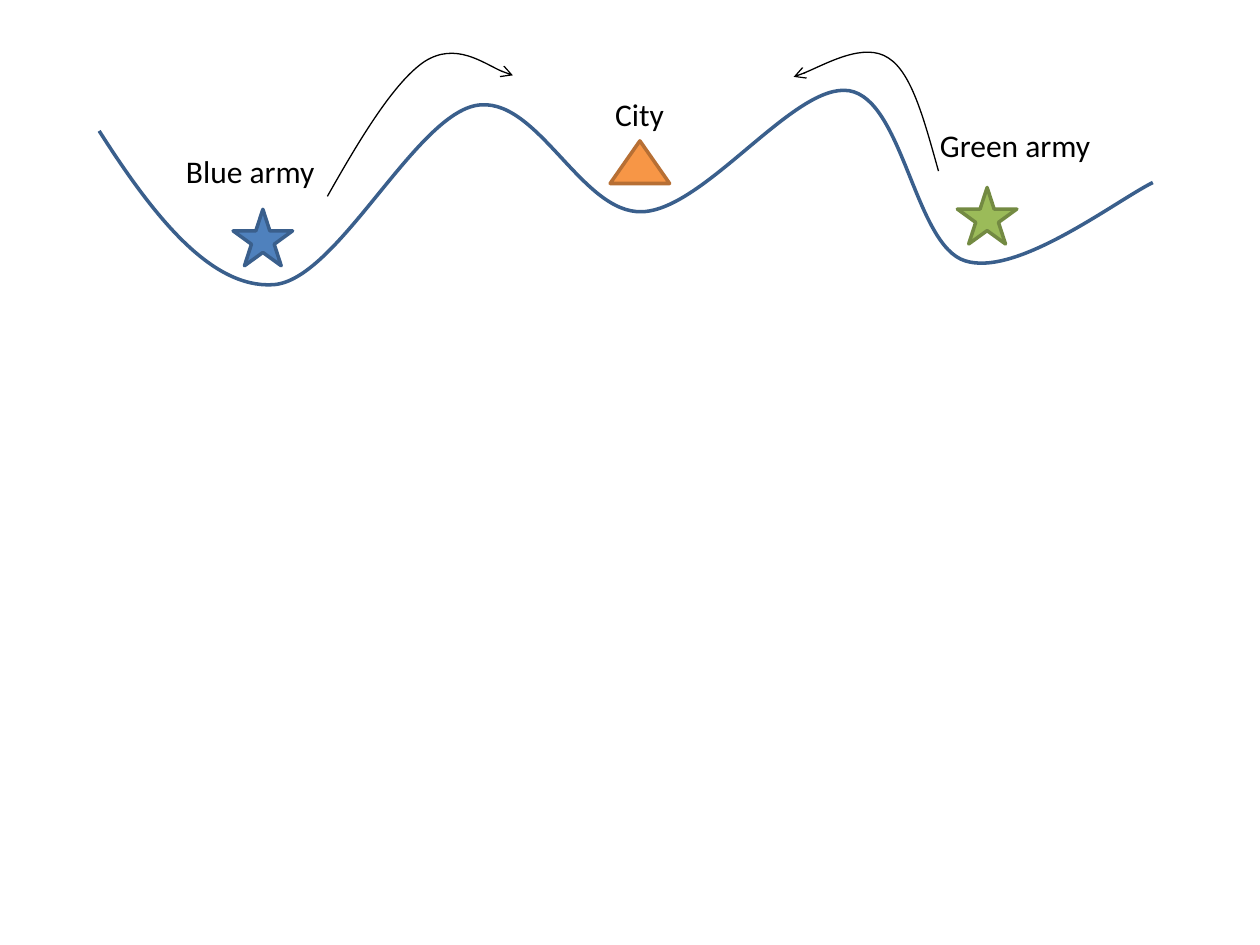
"""Draw two armies in the valleys on either side of a city."""
from dataclasses import dataclass

from lxml.etree import SubElement
from pptx import Presentation
from pptx.dml.color import RGBColor
from pptx.enum.shapes import MSO_AUTO_SHAPE_TYPE as Preset
from pptx.enum.text import MSO_AUTO_SIZE as AutoSize
from pptx.oxml.ns import qn
from pptx.slide import Slide
from pptx.util import Cm, Pt

COLORS = {
    "black": "000000",
    "blue": "4F81BD", "blue_line": "3A5F8C",
    "green": "9BBB59", "green_line": "738A42",
    "orange": "F79646", "orange_line": "B76F34",
}
FONT = "Calibri"
Point = tuple[float, float]


@dataclass
class Curve:
    start: Point
    bends: list[tuple[Point, Point, Point]]
    color: str
    weight: float
    arrow: bool = False


@dataclass
class Symbol:
    preset: Preset
    left: float
    top: float
    height: float
    color: str


@dataclass
class Label:
    text: str
    left: float
    top: float
    width: float


HILLS = Curve((2, 2.64), [
    ((3.07, 4.32), (4.24, 5.82), (5.51, 5.74)),
    ((6.78, 5.66), (8.33, 2.39), (9.58, 2.13)),
    ((10.82, 1.88), (11.71, 4.32), (12.95, 4.27)),
    ((14.22, 4.22), (16.03, 1.65), (17.12, 1.83)),
    ((18.21, 2.01), (18.44, 4.95), (19.46, 5.26)),
    ((20.5, 5.59), (22.48, 4.06), (23.24, 3.68)),
], "blue_line", 2)
SYMBOLS = [
    Symbol(Preset.STAR_5_POINT, 4.7, 4.22, 1.14, "blue"),
    Symbol(Preset.STAR_5_POINT, 19.3, 3.78, 1.14, "green"),
    Symbol(Preset.ISOSCELES_TRIANGLE, 12.3, 2.84, 0.86, "orange"),
]
LABELS = [
    Label("Blue army", 3.5, 2.95, 3.12),
    Label("Green army", 18.7, 2.41, 3.58),
    Label("City", 12.15, 1.8, 1.5),
]
ATTACKS = [
    Curve((6.6, 3.96), [
        ((7.26, 2.79), (7.95, 1.65), (8.56, 1.24)),
        ((9.19, 0.84), (10.01, 1.45), (10.34, 1.52)),
    ], "black", 0.75, True),
    Curve((18.92, 3.45), [
        ((18.64, 2.46), (18.39, 1.47), (17.91, 1.17)),
        ((17.42, 0.84), (16.31, 1.47), (16, 1.55)),
    ], "black", 0.75, True),
]


def rgb(name: str) -> RGBColor:
    return RGBColor.from_string(COLORS[name])


def draw_curve(page: Slide, curve: Curve) -> None:
    builder = page.shapes.build_freeform(*map(Cm, curve.start))
    builder.add_line_segments(
        [(Cm(x), Cm(y)) for *_, (x, y) in curve.bends], close=False)
    shape = builder.convert_to_shape()
    shape.shadow.inherit = False
    shape.fill.background()
    shape.line.color.rgb = rgb(curve.color)
    shape.line.width = Pt(curve.weight)
    segments = list(shape.element.iter(qn("a:lnTo")))
    for segment, bend in zip(segments, curve.bends):
        segment.clear()
        segment.tag = qn("a:cubicBezTo")
        for x, y in bend:
            SubElement(segment, qn("a:pt"),
                       x=str(Cm(x) - shape.left), y=str(Cm(y) - shape.top))
    if curve.arrow:
        outline = shape.element.spPr.find(qn("a:ln"))
        SubElement(outline, qn("a:tailEnd"), type="arrow")


def draw_symbol(page: Slide, symbol: Symbol) -> None:
    shape = page.shapes.add_shape(symbol.preset, Cm(symbol.left), Cm(symbol.top),
                                  Cm(1.2), Cm(symbol.height))
    shape.shadow.inherit = False
    shape.fill.solid()
    shape.fill.fore_color.rgb = rgb(symbol.color)
    shape.line.color.rgb = rgb(f"{symbol.color}_line")
    shape.line.width = Pt(2)


def draw_label(page: Slide, label: Label) -> None:
    box = page.shapes.add_textbox(Cm(label.left), Cm(label.top),
                                  Cm(label.width), Cm(1.02))
    frame = box.text_frame
    frame.text = label.text
    frame.word_wrap = False
    frame.auto_size = AutoSize.SHAPE_TO_FIT_TEXT
    font = frame.paragraphs[0].runs[0].font
    font.name = FONT
    font.size = Pt(18)
    font.color.rgb = rgb("black")


def main() -> None:
    deck = Presentation()
    deck.slide_width, deck.slide_height = Cm(25.4), Cm(19.05)
    page = deck.slides.add_slide(deck.slide_layouts[6])
    draw_curve(page, HILLS)
    for symbol in SYMBOLS:
        draw_symbol(page, symbol)
    for label in LABELS:
        draw_label(page, label)
    for attack in ATTACKS:
        draw_curve(page, attack)
    deck.save("out.pptx")


main()
